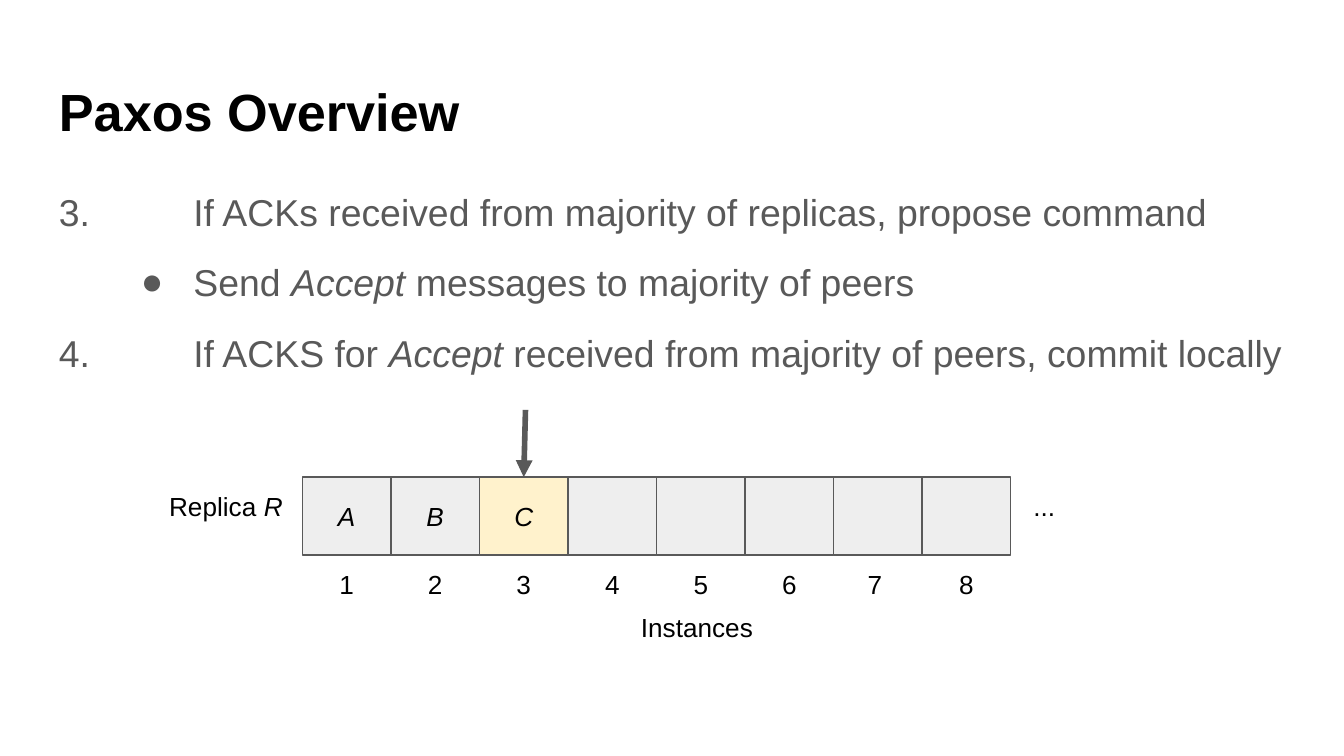
from pptx import Presentation
from pptx.dml.color import RGBColor
from pptx.enum import shapes, text
from pptx.oxml import parse_xml
from pptx.oxml.ns import nsdecls
from pptx.util import Inches, Pt

GREY, BLACK = "595959", "000000"
MID = text.PP_ALIGN.CENTER
NS = nsdecls("a")


def rgb(code):
    return RGBColor.from_string(code)


def write(shape, lines, size=14, color=BLACK, align=None, bold=False):
    """Fill shape with lines; each line is a list of runs, and *run is italic."""
    frame = shape.text_frame
    frame.word_wrap = True
    frame.margin_left = frame.margin_right = Inches(0.1)
    frame.margin_top = frame.margin_bottom = Inches(0.1)
    for i, runs in enumerate(lines):
        para = frame.paragraphs[0] if i == 0 else frame.add_paragraph()
        para.alignment = align
        for part in runs:
            run = para.add_run()
            run.text = part.lstrip("*")
            font = run.font
            font.name, font.size, font.bold = "Arial", Pt(size), bold
            font.italic = part.startswith("*")
            font.color.rgb = rgb(color)
    return frame


deck = Presentation()
deck.slide_width = Inches(10)
deck.slide_height = Inches(10 * 9 / 16)
slide = deck.slides.add_slide(deck.slide_layouts[6])
items = slide.shapes

# Title and steps
title = items.add_textbox(Inches(0.34), Inches(0.49), Inches(9.32), Inches(0.63))
write(title, [["Paxos Overview"]], size=28, bold=True)

body = items.add_textbox(Inches(0.34), Inches(1.26), Inches(9.32), Inches(1.46))
steps = write(body, [
    ["3.\tIf ACKs received from majority of replicas, propose command"],
    ["Send ", "*Accept ", "messages to majority of peers"],
    ["4.\tIf ACKS for ", "*Accept",
     " received from majority of peers, commit locally"],
], size=20, color=GREY).paragraphs
for para in steps:
    para.line_spacing = 1.15
for para in steps[1:]:
    para.space_before = Pt(10)
for para in steps[::2]:
    para._p.get_or_add_pPr().append(parse_xml(
        f'<a:tabLst {NS}><a:tab pos="{Inches(1)}" algn="l"/></a:tabLst>'))
props = steps[1]._p.get_or_add_pPr()
props.set("marL", str(Inches(1)))
props.set("indent", str(Inches(-0.39)))
for tag in (f'<a:buClr {NS}><a:srgbClr val="{GREY}"/></a:buClr>',
            f'<a:buFont {NS} typeface="Arial"/>',
            f'<a:buChar {NS} char="●"/>'):
    props.append(parse_xml(tag))

# Log of instances
left, top, wide, high = 2.25, 3.55, 0.66, 0.58
step = 4.61 / 7
cells = []
for i, name in enumerate(["*A", "*B", "*C", "", "", "", "", ""]):
    x = left + i * step
    cell = items.add_shape(shapes.MSO_SHAPE.RECTANGLE, Inches(x), Inches(top),
                           Inches(wide), Inches(high))
    cell.shadow.inherit = False
    cell.fill.solid()
    cell.fill.fore_color.rgb = rgb("FFF2CC" if name == "*C" else "EEEEEE")
    cell.line.color.rgb = rgb(GREY)
    cell.line.width = Pt(0.75)
    if name:
        write(cell, [[name]], align=MID)
        cell.text_frame.vertical_anchor = text.MSO_ANCHOR.MIDDLE
    cells.append(cell)

for x, y, tall, runs in [(4.67, 4.45, 0.63, ["Instances"]),
                         (7.59, top, high, ["..."]),
                         (1.16, top, high, ["Replica ", "*R"])]:
    note = items.add_textbox(Inches(x), Inches(y), Inches(1.09), Inches(tall))
    write(note, [runs])

for i in range(len(cells)):
    label = items.add_textbox(Inches(left + 0.155 + i * step), Inches(top + high),
                              Inches(0.35), Inches(0.42))
    write(label, [[str(i + 1)]], align=None if i == 6 else MID)

# Arrow to the current instance
arrow = items.add_connector(shapes.MSO_CONNECTOR.STRAIGHT, Inches(3.91),
                            Inches(3.05), Inches(3.9), Inches(top))
arrow.end_connect(cells[2], 0)
arrow.line.color.rgb = rgb(GREY)
arrow.line.width = Pt(3)
arrow.line._get_or_add_ln().append(
    parse_xml(f'<a:tailEnd {NS} type="triangle"/>'))
arrow._element.spPr.append(parse_xml(f'<a:effectLst {NS}/>'))

deck.save("out.pptx")
